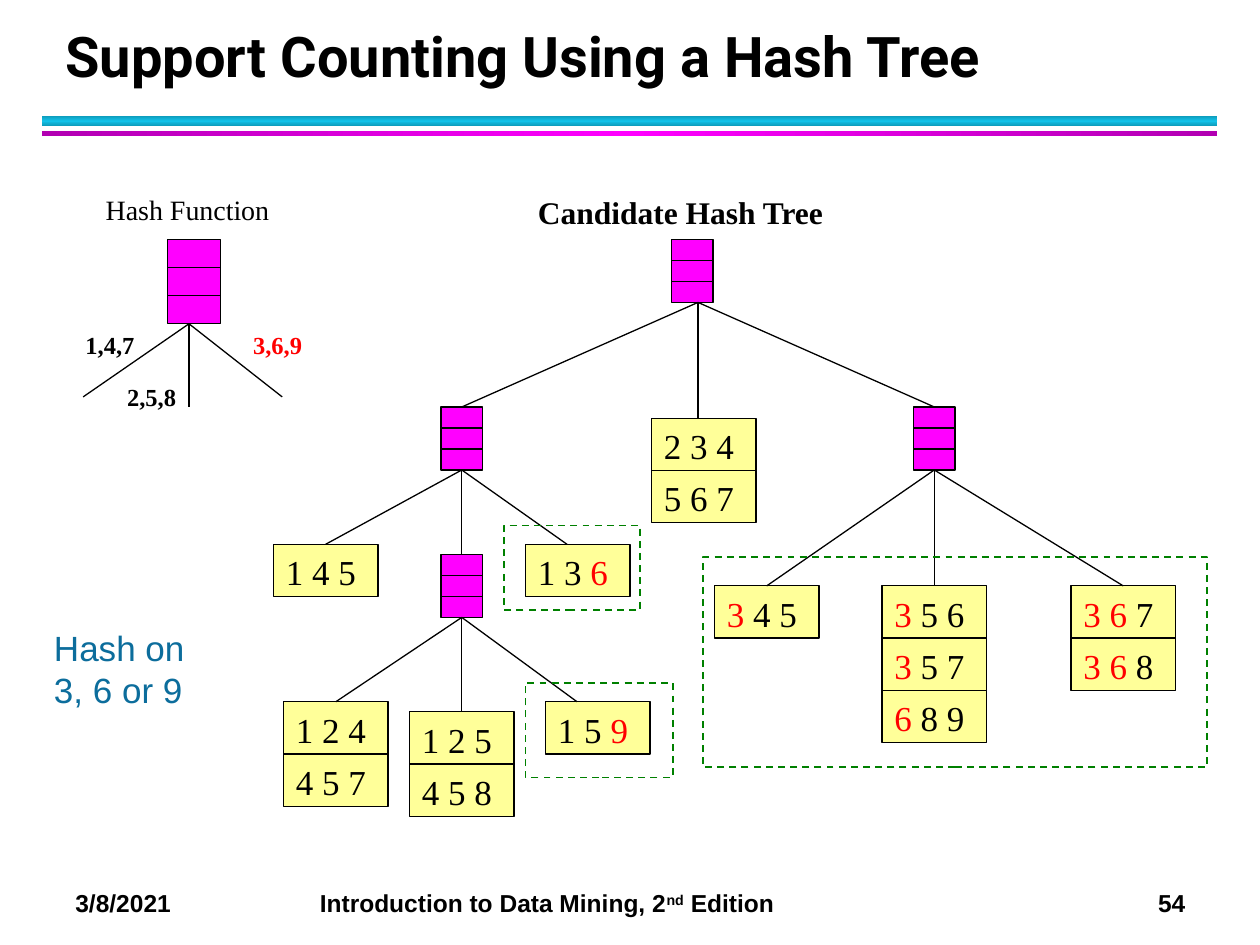
from copy import deepcopy

from lxml import etree
from pptx import Presentation
from pptx.dml.color import RGBColor
from pptx.enum.dml import MSO_LINE
from pptx.enum.shapes import MSO_CONNECTOR, MSO_SHAPE
from pptx.enum.text import MSO_ANCHOR, PP_ALIGN
from pptx.oxml.ns import qn
from pptx.util import Inches, Pt

BLACK = RGBColor(0x00, 0x00, 0x00)
RED = RGBColor(0xFF, 0x00, 0x00)
MAGENTA = RGBColor(0xFF, 0x00, 0xFF)
DARK_MAGENTA = RGBColor(0xB2, 0x00, 0xB2)
CYAN = RGBColor(0x12, 0xC2, 0xE9)
DARK_CYAN = RGBColor(0x0E, 0x9B, 0xBA)
YELLOW = RGBColor(0xFF, 0xFF, 0x99)
GREEN = RGBColor(0x00, 0x80, 0x00)
BLUE = RGBColor(0x0C, 0x6D, 0x9C)
SERIF = "Times New Roman"

NODE_W, NODE_H = 0.33, 0.5
LEAF_W, LEAF_H = 0.83, 0.415

# Inner nodes: left, top
NODES = {"root": (5.33, 1.9), "left": (3.5, 3.23),
         "right": (7.25, 3.23), "lower": (3.5, 4.4)}

# Leaves: left, top, itemsets (red before, black, red after)
LEAVES = {
    "124": (2.25, 5.57, [("", "1 2 4", ""), ("", "4 5 7", "")]),
    "125": (3.25, 5.65, [("", "1 2 5", ""), ("", "4 5 8", "")]),
    "159": (4.33, 5.57, [("", "1 5 ", "9")]),
    "145": (2.17, 4.32, [("", "1 4 5", "")]),
    "136": (4.17, 4.32, [("", "1 3 ", "6")]),
    "234": (5.17, 3.32, [("", "2 3 4", ""), ("", "5 6 7", "")]),
    "345": (5.67, 4.65, [("3", " 4 5", "")]),
    "356": (7, 4.65, [("3", " 5 6", ""), ("3", " 5 7", ""), ("6", " 8 9", "")]),
    "367": (8.5, 4.65, [("3 6", " 7", ""), ("3 6", " 8", "")]),
}

# Branches: parent, start x, start y, then child, end x, end y
BRANCHES = [
    ("root", 5.54, 2.4, [("left", 3.67, 3.23), ("234", 5.54, 3.32), ("right", 7.42, 3.23)]),
    ("left", 3.65, 3.73, [("145", 2.58, 4.32), ("lower", 3.65, 4.4), ("136", 4.5, 4.32)]),
    ("right", 7.42, 3.73, [("345", 6.08, 4.65), ("356", 7.42, 4.65), ("367", 8.92, 4.65)]),
    ("lower", 3.67, 4.9, [("124", 2.67, 5.57), ("125", 3.67, 5.65), ("159", 4.58, 5.57)]),
]


def add_run(paragraph, text, size, font, color=BLACK, bold=False):
    run = paragraph.add_run()
    run.text = text
    run.font.size = Pt(size)
    run.font.name = font
    run.font.bold = bold
    run.font.color.rgb = color
    return run


def add_label(slide, left, top, width, height, text, size, font=SERIF,
              color=BLACK, bold=False, wrap=False):
    label = slide.shapes.add_textbox(Inches(left), Inches(top), Inches(width), Inches(height))
    label.text_frame.word_wrap = wrap
    add_run(label.text_frame.paragraphs[0], text, size, font, color, bold)
    return label


def add_box(slide, left, top, width, height, fill=None, line=BLACK):
    box = slide.shapes.add_shape(MSO_SHAPE.RECTANGLE, Inches(left), Inches(top),
                                 Inches(width), Inches(height))
    box.shadow.inherit = False
    if fill is None:
        box.fill.background()
    else:
        box.fill.solid()
        box.fill.fore_color.rgb = fill
    box.line.color.rgb = line
    box.line.width = Pt(0.75)
    return box


def add_line(slide, x1, y1, x2, y2):
    line = slide.shapes.add_connector(MSO_CONNECTOR.STRAIGHT, Inches(x1), Inches(y1),
                                      Inches(x2), Inches(y2))
    line.line.color.rgb = BLACK
    line.line.width = Pt(0.75)
    etree.SubElement(line._element.spPr, qn("a:effectLst"))
    return line


def add_hash_node(slide, left, top, width, height):
    """A box of three equal slots."""
    node = add_box(slide, left, top, width, height, MAGENTA)
    for slot in (1, 2):
        y = top + slot * height / 3
        add_line(slide, left, y, left + width, y)
    return node


def add_leaf(slide, left, top, itemsets):
    """A stack of itemsets; returns the topmost box."""
    boxes = []
    for row, parts in enumerate(itemsets):
        box = add_box(slide, left, top + row * LEAF_H, LEAF_W, LEAF_H, YELLOW)
        frame = box.text_frame
        frame.vertical_anchor = MSO_ANCHOR.TOP
        frame.margin_right = 0
        paragraph = frame.paragraphs[0]
        paragraph.alignment = PP_ALIGN.LEFT
        for text, color in zip(parts, (RED, BLACK, RED)):
            if text:
                add_run(paragraph, text, 20, SERIF, color)
        boxes.append(box)
    return boxes[0]


def is_middle(shape, x):
    return abs(shape.left + shape.width / 2 - Inches(x)) < Inches(0.03)


def add_gradient_bar(slide, left, top, width, height, edge, middle, angle):
    bar = add_box(slide, left, top, width, height, middle)
    bar.line.fill.background()
    bar.fill.gradient()
    bar.fill.gradient_angle = angle
    stops = bar.fill.gradient_stops
    for stop, color, position in zip(stops, (edge, middle), (0, 0.5)):
        stop.color.rgb = color
        stop.position = position
    stop_list = bar._element.spPr.find(".//" + qn("a:gsLst"))
    last = deepcopy(stop_list[0])
    last.set("pos", "100000")
    stop_list.append(last)


def add_header(slide, left, top, width):
    add_gradient_bar(slide, left, top + 0.75, width, 0.08, DARK_CYAN, CYAN, 90)
    add_gradient_bar(slide, left, top + 0.87, width, 0.04, DARK_MAGENTA, MAGENTA, 0)
    title = add_label(slide, left + 0.09, top, 9.06, 0.58,
                      "Support Counting Using a Hash Tree", 32, "Roboto", bold=True, wrap=True)
    title.text_frame.vertical_anchor = MSO_ANCHOR.BOTTOM
    title.text_frame.paragraphs[0].line_spacing = Pt(36)


def add_footer(slide, left, top, width, height):
    footer = add_label(slide, left, top, width, height, "3/8/2021\t", 14, "Arial",
                       bold=True, wrap=True)
    paragraph = footer.text_frame.paragraphs[0]
    add_run(paragraph, "Introduction to Data Mining, 2", 14, "Arial", bold=True)
    ordinal = add_run(paragraph, "nd", 14, "Arial", bold=True)
    ordinal.font._element.set("baseline", "30000")
    add_run(paragraph, " Edition\t54", 14, "Arial", bold=True)
    tabs = etree.SubElement(paragraph._p.get_or_add_pPr(), qn("a:tabLst"))
    for position, alignment in ((1.94, "l"), (8.81, "r")):
        etree.SubElement(tabs, qn("a:tab"), pos=str(Inches(position)), algn=alignment)


def add_hash_function(slide, left, top):
    add_label(slide, left + 0.16, top, 1.51, 0.37, "Hash Function", 16)
    node = add_hash_node(slide, left + 0.75, top + 0.42, 0.42, 0.67)
    fork_x, fork_y = left + 0.92, top + 1.09
    for end_x, end_y in ((0.08, 1.67), (0.92, 1.75), (1.66, 1.67)):
        add_line(slide, fork_x, fork_y, left + end_x, top + end_y)
    for x, y, text, color in ((0, 1.09, "1,4,7", BLACK), (0.33, 1.5, "2,5,8", BLACK),
                              (1.33, 1.09, "3,6,9", RED)):
        add_label(slide, left + x, top + y, 0.59, 0.33, text, 14, color=color, bold=True)


def add_candidate_tree(slide):
    add_label(slide, 4.17, 1.48, 2.49, 0.4, "Candidate Hash Tree", 18, bold=True)
    parts = {name: add_hash_node(slide, *corner, NODE_W, NODE_H)
             for name, corner in NODES.items()}
    parts.update({name: add_leaf(slide, *leaf) for name, leaf in LEAVES.items()})
    for parent, x, y, children in BRANCHES:
        for child, end_x, end_y in children:
            branch = add_line(slide, x, y, end_x, end_y)
            if is_middle(parts[parent], x):
                branch.begin_connect(parts[parent], 2)
            if is_middle(parts[child], end_x):
                branch.end_connect(parts[child], 0)


def add_highlights(slide):
    """Dashed frames round the leaves reached by hashing on 3, 6 or 9."""
    for frame in ((4.17, 5.42, 1.17, 0.75), (5.58, 4.42, 4, 1.67), (4, 4.17, 1.08, 0.67)):
        outline = add_box(slide, *frame, line=GREEN)
        outline.line.width = Pt(1)
        outline.line.dash_style = MSO_LINE.DASH
    add_label(slide, 0.33, 4.92, 1.25, 0.77, "Hash on 3, 6 or 9", 20, "Arial", BLUE, wrap=True)


def main():
    presentation = Presentation()
    presentation.slide_width, presentation.slide_height = Inches(10), Inches(7.5)
    slide = presentation.slides.add_slide(presentation.slide_layouts[6])
    add_header(slide, 0.33, 0.17, 9.33)
    add_footer(slide, 0.5, 7, 9.33, 0.34)
    add_candidate_tree(slide)
    add_hash_function(slide, 0.58, 1.48)
    add_highlights(slide)
    presentation.save("out.pptx")


if __name__ == "__main__":
    main()
